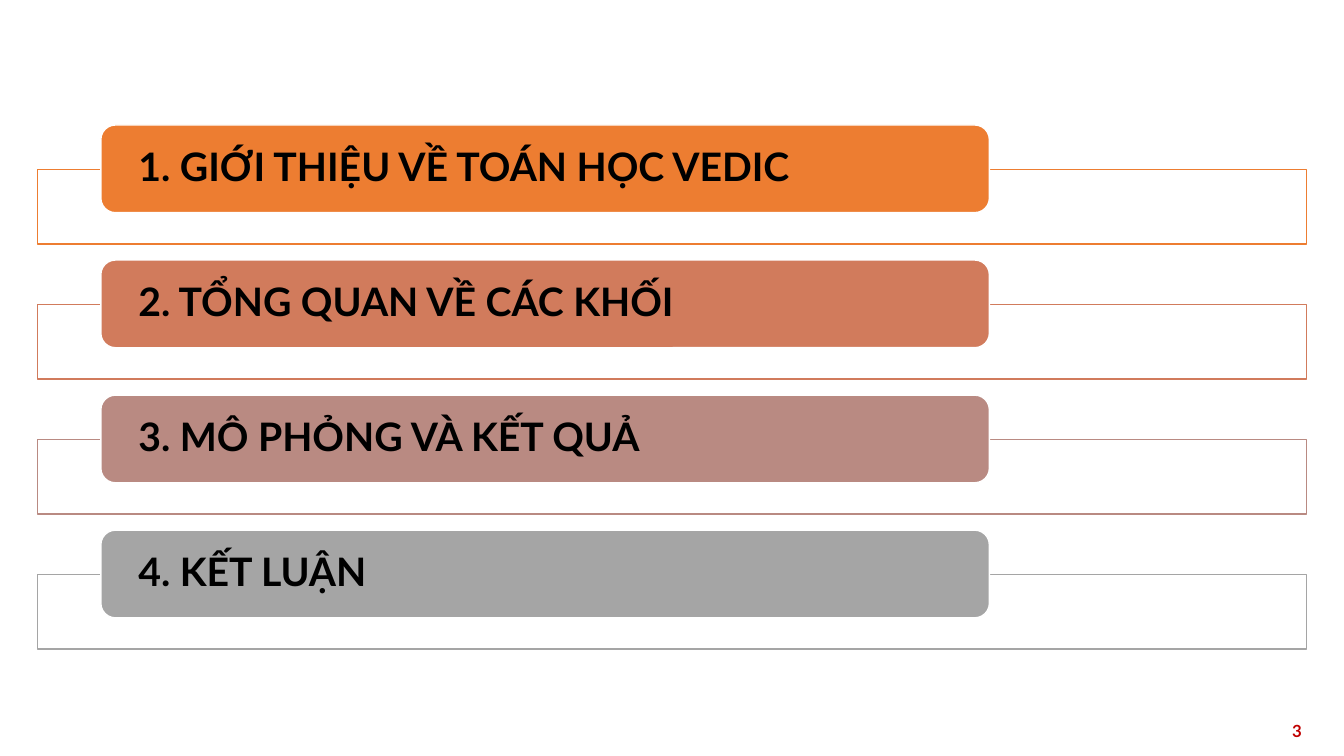
from pptx import Presentation
from pptx.dml.color import RGBColor
from pptx.enum.shapes import MSO_SHAPE
from pptx.enum.text import MSO_ANCHOR, PP_ALIGN
from pptx.util import Inches, Pt

RECTANGLE = MSO_SHAPE.RECTANGLE
ROUNDED = MSO_SHAPE.ROUNDED_RECTANGLE
LEFT, RIGHT = PP_ALIGN.LEFT, PP_ALIGN.RIGHT
MIDDLE, TOP = MSO_ANCHOR.MIDDLE, MSO_ANCHOR.TOP

FONT = "Lato"
ROW_PITCH = 1.34
AGENDA = [
    ("1. GIỚI THIỆU VỀ TOÁN HỌC VEDIC", "ED7D31"),
    ("2. TỔNG QUAN VỀ CÁC KHỐI", "D17B5C"),
    ("3. MÔ PHỎNG VÀ KẾT QUẢ", "B98A82"),
    ("4. KẾT LUẬN", "A5A5A5"),
]


def color(hex_string):
    return RGBColor.from_string(hex_string)


def add_box(slide, kind, left, top, width, height, fill, line):
    shape = slide.shapes.add_shape(
        kind, Inches(left), Inches(top), Inches(width), Inches(height))
    shape.shadow.inherit = False
    shape.fill.solid()
    shape.fill.fore_color.rgb = color(fill)
    shape.line.color.rgb = color(line)
    shape.line.width = Pt(1)
    return shape


def write_text(shape, text, size, font_color, align=LEFT, anchor=TOP,
               margins=(0.1, 0.05), line_spacing=1.0, space_after=0):
    """Fill a shape with one bold paragraph; margins are side and top/bottom."""
    frame = shape.text_frame
    frame.word_wrap = True
    frame.vertical_anchor = anchor
    frame.margin_left = frame.margin_right = Inches(margins[0])
    frame.margin_top = frame.margin_bottom = Inches(margins[1])
    paragraph = frame.paragraphs[0]
    paragraph.alignment = align
    paragraph.line_spacing = line_spacing
    paragraph.space_after = Pt(space_after)
    run = paragraph.add_run()
    run.text = text
    run.font.name = FONT
    run.font.size = Pt(size)
    run.font.bold = True
    run.font.color.rgb = color(font_color)


def add_agenda_row(slide, left, top, width, title, accent):
    """Draw an outlined band with a title pill overlapping its top edge."""
    add_box(slide, RECTANGLE, left, top + 0.44, width, 0.74, "FFFFFF", accent)
    pill = add_box(slide, ROUNDED, left + 0.63, top, width * 0.7, 0.87,
                   accent, "FFFFFF")
    write_text(pill, title, 28, "000000", anchor=MIDDLE, margins=(0.33, 0.04),
               line_spacing=0.9, space_after=9.8)


def add_agenda(slide, left, top, width):
    for index, (title, accent) in enumerate(AGENDA):
        add_agenda_row(slide, left, top + index * ROW_PITCH, width, title, accent)


def add_slide_number(slide, left, top, width, height, number):
    box = slide.shapes.add_textbox(
        Inches(left), Inches(top), Inches(width), Inches(height))
    write_text(box, number, 12, "C00000", align=RIGHT)


def main():
    presentation = Presentation()
    presentation.slide_width = Inches(13.33)
    presentation.slide_height = Inches(7.5)
    slide = presentation.slides.add_slide(presentation.slide_layouts[6])
    add_agenda(slide, 0.37, 1.24, 12.59)
    add_slide_number(slide, 10.01, 7.1, 3, 0.4, "3")
    presentation.save("out.pptx")


if __name__ == "__main__":
    main()
